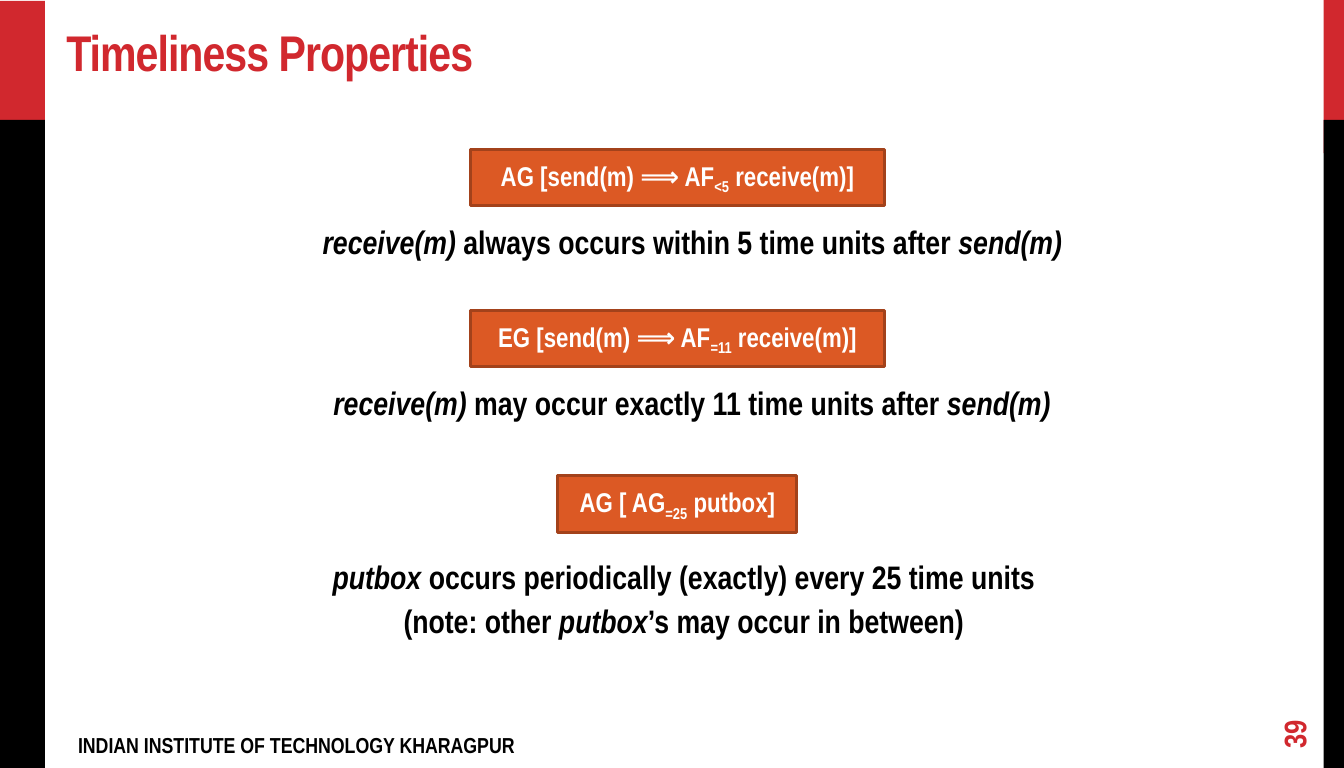
from dataclasses import dataclass
from pptx import Presentation
from pptx.dml.color import RGBColor as RGB
from pptx.enum.shapes import MSO_SHAPE as Shape
from pptx.enum.text import MSO_ANCHOR as Anchor, MSO_AUTO_SIZE as Fit, PP_ALIGN as Align
from pptx.util import Inches, Pt


@dataclass(frozen=True)
class Theme:
    font: str = "Arial Narrow"
    red: RGB = RGB(0xD1, 0x28, 0x2E)
    black: RGB = RGB(0, 0, 0)
    white: RGB = RGB(255, 255, 255)
    fill: RGB = RGB(0xDC, 0x59, 0x24)
    edge: RGB = RGB(0xA3, 0x42, 0x1B)
    title: float = 37
    note: float = 24
    page: float = 23
    rule: float = 20
    foot: float = 16
    gap: float = 4


THEME = Theme()
PLAIN, ITALIC, SUB = "plain", "italic", "sub"
# The slide measures 35 by 20 centimetres
WIDTH, HEIGHT = 35 / 2.54, 20 / 2.54


def place(box):
    return [Inches(v) for v in box]


def add_run(para, text, size, color, style=PLAIN):
    run = para.add_run()
    run.text = text
    font = run.font
    font.name, font.size, font.bold = THEME.font, Pt(size), True
    font.italic = style == ITALIC
    font.color.rgb = color
    if style == SUB:
        run._r.get_or_add_rPr().set("baseline", "-25000")
    return run


def set_pad(frame, side, top):
    frame.margin_left = frame.margin_right = Inches(side)
    frame.margin_top = frame.margin_bottom = Inches(top)


def add_rect(slide, box, fill):
    rect = slide.shapes.add_shape(Shape.RECTANGLE, *place(box))
    rect.shadow.inherit = False
    rect.fill.solid()
    rect.fill.fore_color.rgb = fill
    rect.line.fill.background()
    return rect


def add_title(slide, text):
    title = slide.shapes.title
    title.left, title.top, title.width, title.height = place((0.57, 0.18, 12.86, 0.72))
    frame = title.text_frame
    set_pad(frame, 0.11, 0.06)
    frame.auto_size = Fit.NONE
    frame.vertical_anchor = Anchor.BOTTOM
    para = frame.paragraphs[0]
    para.alignment = Align.LEFT
    run = add_run(para, text, THEME.title, THEME.red)
    run._r.get_or_add_rPr().set("spc", "-70")


def add_label(slide, box, text, size, color, anchor=Anchor.TOP, turn=0):
    label = slide.shapes.add_textbox(*place(box))
    label.rotation = turn
    frame = label.text_frame
    set_pad(frame, 0.11, 0.06)
    frame.word_wrap = True
    frame.vertical_anchor = anchor
    add_run(frame.paragraphs[0], text, size, color)


def add_rule(slide, box, runs):
    """Draw a formula in an orange box."""
    rect = add_rect(slide, box, THEME.fill)
    rect.line.color.rgb = THEME.edge
    rect.line.width = Pt(2.25)
    frame = rect.text_frame
    frame.vertical_anchor = Anchor.MIDDLE
    para = frame.paragraphs[0]
    para.alignment = Align.CENTER
    for text, style in runs:
        add_run(para, text, THEME.rule, THEME.white, style)


def add_note(slide, box, lines, align=Align.LEFT):
    """Explain a formula in one or more lines."""
    frame = slide.shapes.add_textbox(*place(box)).text_frame
    set_pad(frame, 0.1, 0.05)
    frame.word_wrap = False
    frame.auto_size = Fit.SHAPE_TO_FIT_TEXT
    frame.vertical_anchor = Anchor.MIDDLE
    for i, runs in enumerate(lines):
        para = frame.add_paragraph() if i else frame.paragraphs[0]
        para.alignment = align
        if i:
            para.space_before = Pt(THEME.gap)
        for text, style in runs:
            add_run(para, text, THEME.note, THEME.black, style)


def main():
    deck = Presentation()
    deck.slide_width, deck.slide_height = Inches(WIDTH), Inches(HEIGHT)
    slide = deck.slides.add_slide(deck.slide_layouts[5])

    # Side bars: black overlaps the foot of red
    for left, top, width in ((13.57, 0, WIDTH - 13.57), (0, 0.01, 0.46)):
        add_rect(slide, (left, top, width, 1.57), THEME.red)
        add_rect(slide, (left, 1.23, width, HEIGHT - 1.23), THEME.black)

    # Title, footer and page number
    add_title(slide, "Timeliness Properties")
    add_label(slide, (0.69, 7.44, 8.38, 0.34), "INDIAN INSTITUTE OF TECHNOLOGY KHARAGPUR",
              THEME.foot, THEME.black)
    add_label(slide, (12.86, 7.21, 0.81, 0.34), "39", THEME.page, THEME.red,
              Anchor.MIDDLE, 270)

    # Send and receive properties
    pairs = (
        ("AG", "<5", " always occurs within 5 time units after ", 3.21, 7.86),
        ("EG", "=11", " may occur exactly 11 time units after ", 3.32, 7.63),
    )
    for i, (scope, bound, claim, left, width) in enumerate(pairs):
        top = 1.53 + 1.65 * i
        add_rule(slide, (4.82, top, 4.25, 0.58),
                 [(f"{scope} [send(m) ⟹ AF", PLAIN), (bound, SUB), (" receive(m)]", PLAIN)])
        add_note(slide, (left, top + 0.7, width, 0.5),
                 [[("receive(m)", ITALIC), (claim, PLAIN), ("send(m)", ITALIC)]])

    # Periodic property
    add_rule(slide, (5.72, 4.88, 2.45, 0.58),
             [("AG [ AG", PLAIN), ("=25", SUB), (" putbox]", PLAIN)])
    add_note(slide, (3.27, 5.64, 7.48, 0.99), [
        [("putbox", ITALIC), (" occurs periodically (exactly) every 25 time units", PLAIN)],
        [("(note: other ", PLAIN), ("putbox", ITALIC), ("’s may occur in between)", PLAIN)],
    ], Align.CENTER)

    deck.save("out.pptx")


if __name__ == "__main__":
    main()
